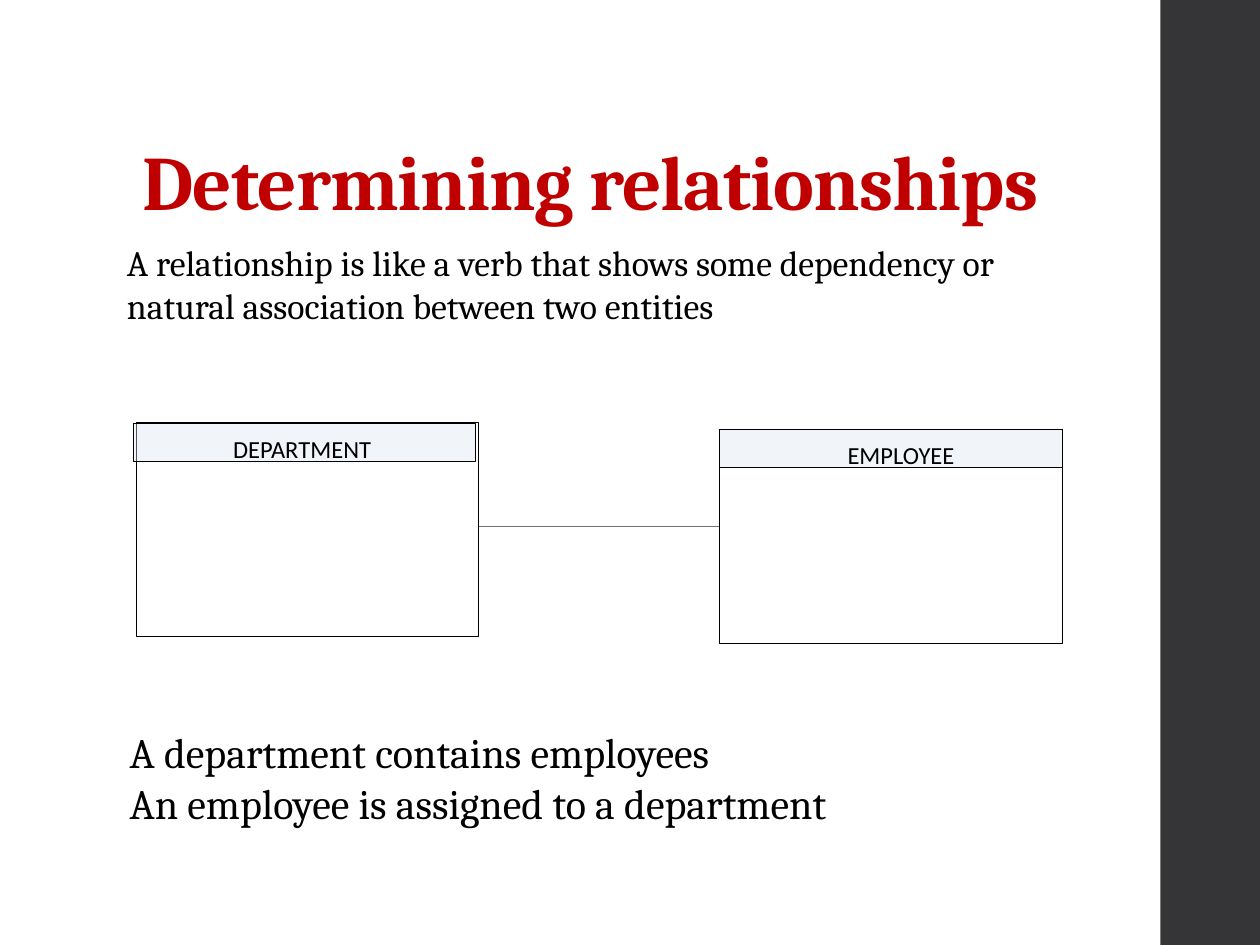
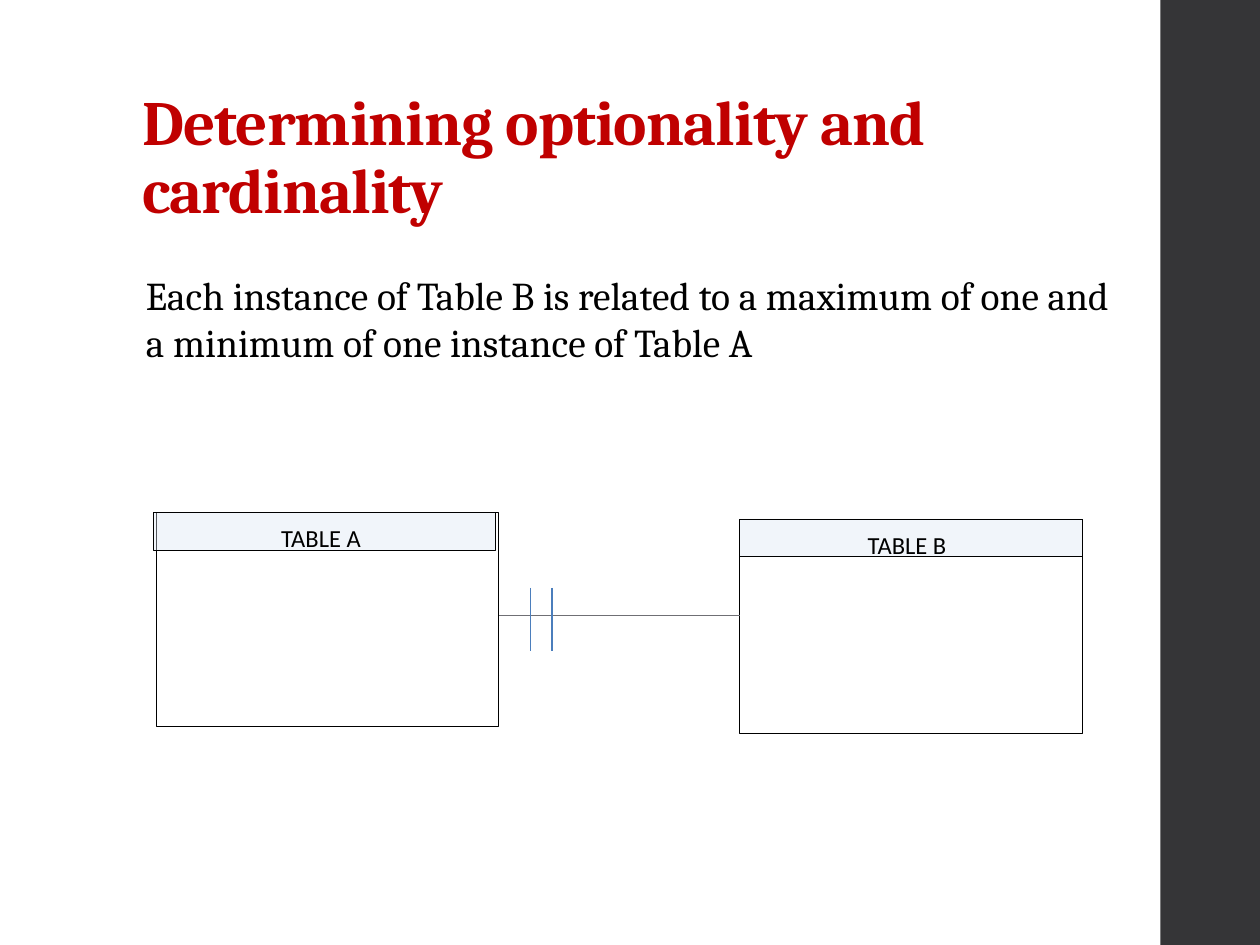
from lxml import etree
from pptx import Presentation
from pptx.dml.color import RGBColor
from pptx.enum import shapes, text
from pptx.oxml import ns
from pptx.util import Pt

WIDTH, HEIGHT = 720, 540
SERIF, SANS = "Cambria", "Calibri"
BLACK, WHITE, RED = "000000", "FFFFFF", "C00000"
BAND, HEADER, LINK, TICK = "353537", "DCE6F2", "6F6F74", "4B7EBC"

# Entity diagram measures
ENTITY_W, ENTITY_H, HEADER_H = 195.8, 122.4, 21.6
RIGHT_DX, RIGHT_DY = 333.3, 4
HEADER_SHIFT = -1.8
LINK_DY = 59.3


def rgb(value):
    return RGBColor.from_string(value)


class Deck:
    """Holds the shared style and the slide being built."""

    def __init__(self):
        self.prs = Presentation()
        self.prs.slide_width, self.prs.slide_height = Pt(WIDTH), Pt(HEIGHT)
        self.slide = None

    def new_slide(self, title, size):
        self.slide = self.prs.slides.add_slide(self.prs.slide_layouts[6])
        self.box(663.1, 0, 57.6, HEIGHT, BAND)
        frame = self.text(74.2, 28.8, 572.4, 104.4, [title], size, RED, bold=True)
        frame.vertical_anchor = text.MSO_ANCHOR.BOTTOM
        heading = frame.paragraphs[0]
        heading.line_spacing = 0.9
        heading.runs[0].font._element.set("spc", "-50")

    def text(self, left, top, width, height, lines, size, color=BLACK, bold=False):
        frame = self.slide.shapes.add_textbox(
            Pt(left), Pt(top), Pt(width), Pt(height)).text_frame
        frame.word_wrap = True
        frame.text = "\n".join(lines)
        for paragraph in frame.paragraphs:
            self.style(paragraph, SERIF, size, color, bold)
        return frame

    def style(self, paragraph, font, size, color, bold=False):
        paragraph.alignment = text.PP_ALIGN.LEFT
        paragraph.font.name, paragraph.font.size = font, Pt(size)
        paragraph.font.bold = bold
        paragraph.font.color.rgb = rgb(color)
        # Runs carry the same look, so that every viewer applies it
        for run in paragraph.runs:
            run.font.name, run.font.size, run.font.bold = font, Pt(size), bold
            run.font.color.rgb = rgb(color)

    def box(self, left, top, width, height, fill, line=None, opacity=None):
        shape = self.slide.shapes.add_shape(
            shapes.MSO_SHAPE.RECTANGLE, Pt(left), Pt(top), Pt(width), Pt(height))
        shape.shadow.inherit = False
        shape.fill.solid()
        shape.fill.fore_color.rgb = rgb(fill)
        if opacity is not None:
            color = shape._element.spPr.find(".//" + ns.qn("a:srgbClr"))
            etree.SubElement(color, ns.qn("a:alpha"), val=str(opacity * 1000))
        if line:
            shape.line.color.rgb = rgb(line)
            shape.line.width = Pt(0.5)
        else:
            shape.line.fill.background()
        return shape

    def header(self, left, top, label, indent):
        shape = self.box(left, top, ENTITY_W, HEADER_H, HEADER, BLACK, opacity=38)
        frame = shape.text_frame
        frame.vertical_anchor = text.MSO_ANCHOR.TOP
        frame.margin_left = Pt(7.2 + indent)
        frame.text = label
        name = frame.paragraphs[0]
        self.style(name, SANS, 14, BLACK)
        name.line_spacing, name.space_after = 1.15, Pt(10)

    def line(self, x1, y1, x2, y2, color):
        link = self.slide.shapes.add_connector(
            shapes.MSO_CONNECTOR.STRAIGHT, Pt(x1), Pt(y1), Pt(x2), Pt(y2))
        link.line.color.rgb = rgb(color)
        link.line.width = Pt(0.75)
        etree.SubElement(link._element.spPr, ns.qn("a:effectLst"))

    def relationship(self, left, top, first, second, first_indent=66, ticks=()):
        """Two entities joined by a line, with ticks at offsets from the first."""
        right, right_top = left + RIGHT_DX, top + RIGHT_DY
        edge, link_y = left + ENTITY_W, top + LINK_DY
        self.box(right, right_top, ENTITY_W, ENTITY_H, WHITE, BLACK)
        self.line(edge, link_y, right, link_y, LINK)
        for offset in ticks:
            self.line(edge + offset, link_y - 16, edge + offset, link_y + 20, TICK)
        self.box(left, top, ENTITY_W, ENTITY_H, WHITE, BLACK)
        self.header(left + HEADER_SHIFT, top + 0.4, first, first_indent)
        self.header(right, right_top, second, 66)


def main():
    deck = Deck()

    # Relationships
    deck.new_slide("Determining relationships", 44)
    deck.relationship(77.8, 241.6, "DEPARTMENT", "EMPLOYEE", first_indent=50)
    deck.text(65.5, 133.9, 573, 68.4, [
        "A relationship is like a verb that shows some dependency or "
        "natural association between two entities"], 20.4)
    deck.text(67, 411.8, 573, 68.4, [
        "A department contains employees",
        "An employee is assigned to a department"], 24)

    # Optionality and cardinality
    deck.new_slide("Determining optionality and cardinality", 36)
    deck.relationship(89.3, 292.6, "TABLE A", "TABLE B", ticks=(18, 30.3))
    deck.text(76.3, 151.2, 573, 68.4, [
        "Each instance of Table B is related to a maximum of one and "
        "a minimum of one instance of Table A"], 22.5)

    deck.prs.save("out.pptx")


if __name__ == "__main__":
    main()
